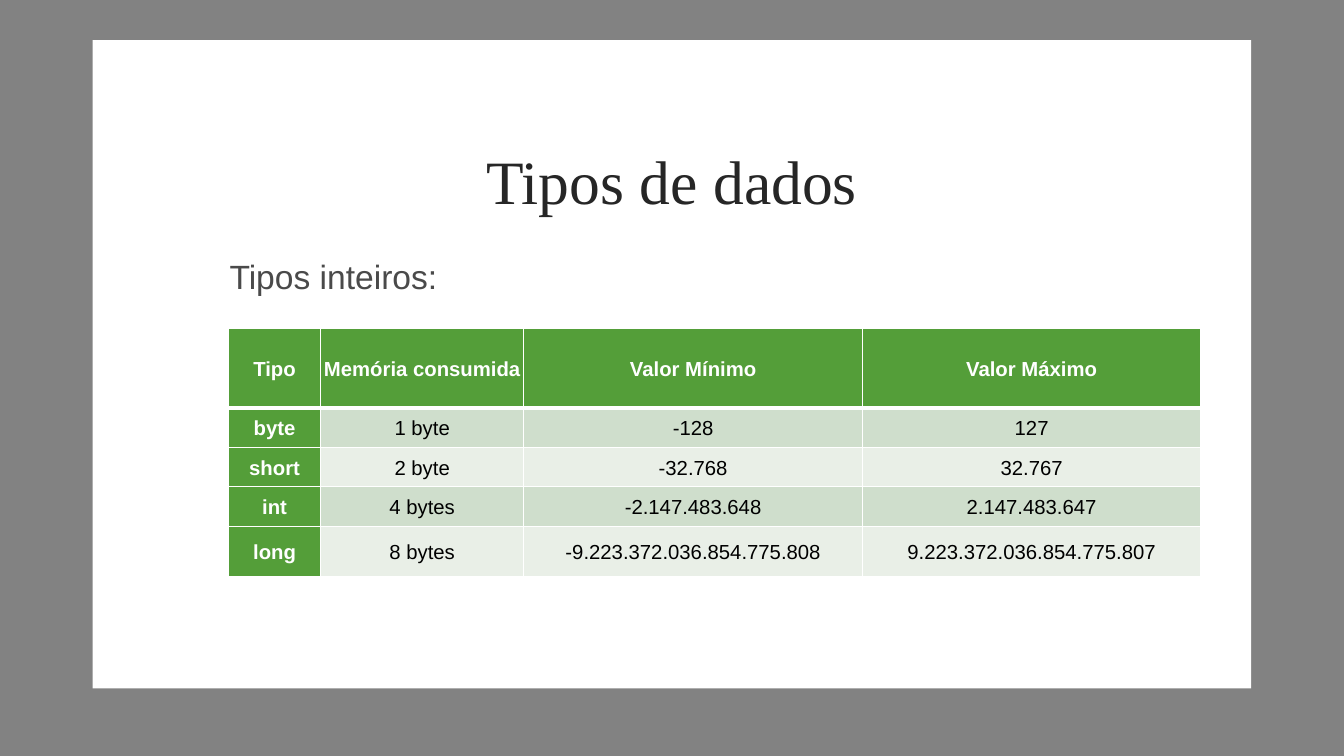
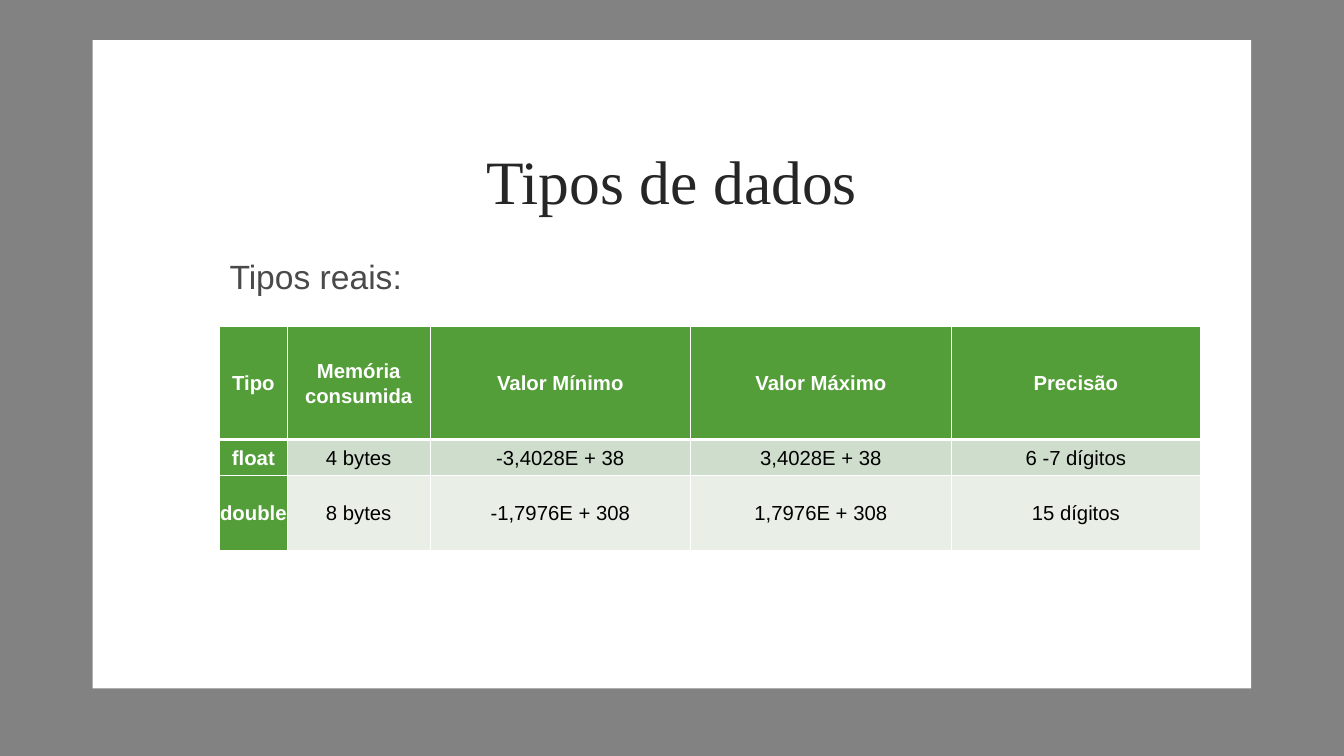
from dataclasses import dataclass

import pptx
import pptx.dml.color
import pptx.enum.shapes
import pptx.enum.text
import pptx.oxml
import pptx.oxml.ns
import pptx.util
from lxml import etree


@dataclass(frozen=True)
class Theme:
    width: float = 13.34
    height: float = 7.5
    title_font: str = "Times New Roman"
    body_font: str = "Arial"
    title_size: float = 44
    subtitle_size: float = 24
    cell_size: float = 14.5
    cell_spacing: float = 1.07
    title: str = "262626"
    subtitle: str = "4A4A4A"
    text: str = "000000"
    white: str = "FFFFFF"
    green: str = "549E39"
    bands: tuple = ("CFDECC", "E9EFE7")
    backdrop_opacity: int = 49
    rule: float = 1
    header_rule: float = 3


THEME = Theme()
BACKDROP = (0, 0, 100, 100)
PANEL = (6.9, 5.33, 86.2, 85.73)
TITLE = (10.64, 14.27, 78.71, 19.07)

SLIDES = [
    {
        "subtitle": "Tipos inteiros:",
        "subtitle_box": (16.34, 33.2, 17.24, 6.67),
        "table_box": (17.02, 43.47, 72.34, 32.8),
        "cols": (0.91, 2.02, 3.36, 3.36),
        "rows": (0.79, 0.39, 0.39, 0.39, 0.5),
        "cells": [
            ("Tipo", "Memória consumida", "Valor Mínimo", "Valor Máximo"),
            ("byte", "1 byte", "-128", "127"),
            ("short", "2 byte", "-32.768", "32.767"),
            ("int", "4 bytes", "-2.147.483.648", "2.147.483.647"),
            ("long", "8 bytes", "-9.223.372.036.854.775.808", "9.223.372.036.854.775.807"),
        ],
    },
    {
        "subtitle": "Tipos reais:",
        "subtitle_box": (16.34, 33.2, 14.54, 6.67),
        "table_box": (16.34, 43.2, 72.98, 29.6),
        "cols": (0.67, 1.42, 2.58, 2.59, 2.47),
        "rows": (1.12, 0.36, 0.74),
        "cells": [
            ("Tipo", "Memória consumida", "Valor Mínimo", "Valor Máximo", "Precisão"),
            ("float", "4 bytes", "-3,4028E + 38", "3,4028E + 38", "6 -7 dígitos"),
            ("double", "8 bytes", "-1,7976E + 308", "1,7976E + 308", "15 dígitos"),
        ],
    },
]


def rgb(color):
    return pptx.dml.color.RGBColor.from_string(color)


def place(box):
    sides = (THEME.width, THEME.height) * 2
    return [pptx.util.Inches(side * share / 100) for side, share in zip(sides, box)]


def style(p, font, size, color, align, bold=False):
    p.alignment = align
    p.font.name = font
    p.font.size = pptx.util.Pt(size)
    p.font.color.rgb = rgb(color)
    p.font.bold = bold


def add_panel(slide, box, color, opacity=100):
    sp = slide.shapes.add_shape(pptx.enum.shapes.MSO_SHAPE.RECTANGLE, *place(box))
    sp.shadow.inherit = False
    sp.fill.solid()
    sp.fill.fore_color.rgb = rgb(color)
    sp.line.fill.background()
    if opacity < 100:
        clr = sp.element.spPr.find(".//" + pptx.oxml.ns.qn("a:srgbClr"))
        etree.SubElement(clr, pptx.oxml.ns.qn("a:alpha"), val=str(opacity * 1000))
    return sp


def add_frame(layout, slide):
    for ph in list(layout.placeholders):
        ph.element.getparent().remove(ph.element)
    frame = [
        add_panel(slide, BACKDROP, THEME.text, THEME.backdrop_opacity),
        add_panel(slide, PANEL, THEME.white),
    ]
    for sp in frame:
        layout.shapes.element.append(sp.element)


def add_text(slide, box, text, font, size, color, align):
    sp = slide.shapes.add_textbox(*place(box))
    tf = sp.text_frame
    tf.word_wrap = True
    tf.vertical_anchor = pptx.enum.text.MSO_ANCHOR.MIDDLE
    tf.text = text
    style(tf.paragraphs[0], font, size, color, align)


def add_borders(cell, top, bottom):
    tc_pr = cell._tc.get_or_add_tcPr()
    sides = {"L": THEME.rule, "R": THEME.rule, "T": top, "B": bottom}
    for side, width in sides.items():
        ln = etree.SubElement(tc_pr, pptx.oxml.ns.qn("a:ln" + side), w=str(pptx.util.Pt(width)))
        fill = etree.SubElement(ln, pptx.oxml.ns.qn("a:solidFill"))
        etree.SubElement(fill, pptx.oxml.ns.qn("a:srgbClr"), val=THEME.white)


def fill_cell(cell, text, row, col):
    heading = row == 0 or col == 0
    add_borders(
        cell,
        THEME.header_rule if row == 1 else THEME.rule,
        THEME.header_rule if row == 0 else THEME.rule,
    )
    cell.fill.solid()
    cell.fill.fore_color.rgb = rgb(THEME.green if heading else THEME.bands[(row - 1) % 2])
    cell.margin_left = cell.margin_right = cell.margin_top = cell.margin_bottom = 0
    cell.vertical_anchor = pptx.enum.text.MSO_ANCHOR.MIDDLE
    cell.text = text
    p = cell.text_frame.paragraphs[0]
    p.line_spacing = THEME.cell_spacing
    style(p, THEME.body_font, THEME.cell_size, THEME.white if heading else THEME.text,
          pptx.enum.text.PP_ALIGN.CENTER, heading)


def add_type_table(slide, box, cols, rows, cells):
    left, top, width, height = place(box)
    table = slide.shapes.add_table(len(rows), len(cols), left, top, width, height).table
    table.first_col = True
    for column, share in zip(table.columns, cols):
        column.width = int(width * share / sum(cols))
    for row, share in zip(table.rows, rows):
        row.height = int(height * share / sum(rows))
    for i, texts in enumerate(cells):
        for j, text in enumerate(texts):
            fill_cell(table.cell(i, j), text, i, j)


def add_type_slide(slide, content):
    add_text(slide, TITLE, "Tipos de dados", THEME.title_font, THEME.title_size,
             THEME.title, pptx.enum.text.PP_ALIGN.CENTER)
    add_text(slide, content["subtitle_box"], content["subtitle"], THEME.body_font,
             THEME.subtitle_size, THEME.subtitle, pptx.enum.text.PP_ALIGN.LEFT)
    add_type_table(slide, content["table_box"], content["cols"], content["rows"], content["cells"])


def main():
    prs = pptx.Presentation()
    prs.slide_width = pptx.util.Inches(THEME.width)
    prs.slide_height = pptx.util.Inches(THEME.height)
    layout = prs.slide_layouts[6]
    slides = [prs.slides.add_slide(layout) for _ in SLIDES]
    add_frame(layout, slides[0])
    for slide, content in zip(slides, SLIDES):
        add_type_slide(slide, content)
    prs.save("out.pptx")


if __name__ == "__main__":
    main()
